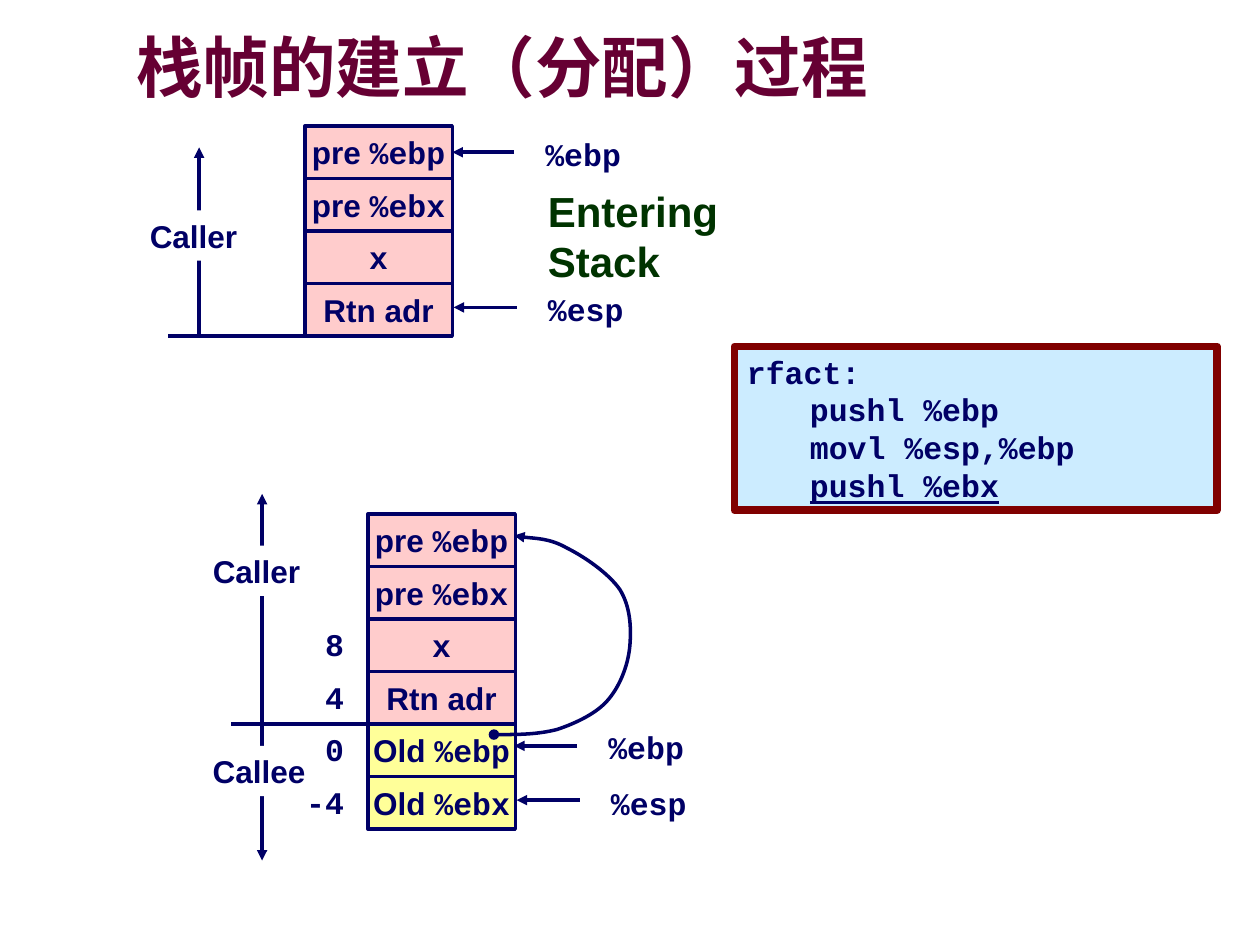
from lxml.etree import SubElement
from pptx import Presentation
from pptx.dml.color import RGBColor
from pptx.enum.shapes import MSO_CONNECTOR, MSO_SHAPE
from pptx.enum.text import MSO_ANCHOR, PP_ALIGN
from pptx.oxml import parse_xml
from pptx.oxml.ns import nsdecls, qn
from pptx.util import Inches, Pt

NAVY = RGBColor(0x00, 0x00, 0x66)
GREEN = RGBColor(0x00, 0x33, 0x00)
PLUM = RGBColor(0x66, 0x00, 0x33)
MAROON = RGBColor(0x80, 0x00, 0x00)
PINK = RGBColor(0xFF, 0xCC, 0xCC)
YELLOW = RGBColor(0xFF, 0xFF, 0x99)
SKY = RGBColor(0xCC, 0xEC, 0xFF)
WHITE = RGBColor(0xFF, 0xFF, 0xFF)
SANS, MONO = "Arial", "Courier New"

# Content: each cell is a list of (text, font) runs
TITLE = "栈帧的建立（分配）过程"
CALLER_CELLS = [
    [("pre ", SANS), ("%ebp", MONO)],
    [("pre ", SANS), ("%ebx", MONO)],
    [("x", MONO)],
    [("Rtn adr", SANS)],
]
CALLEE_CELLS = [
    [("Old ", SANS), ("%ebp", MONO)],
    [("Old ", SANS), ("%ebx", MONO)],
]
OFFSETS = ["8", "4", "0", "-4"]  # beside rows 2 to 5 of the lower stack
CODE = [("rfact:", 0, False), ("pushl %ebp", 0.5, False),
        ("movl %esp,%ebp", 0.5, False), ("pushl %ebx", 0.5, True)]

# Geometry in inches
CELL_W, CELL_H = 1.17, 5 / 12
BEFORE_X, BEFORE_Y = 2.42, 1
AFTER_X, AFTER_Y = 2.92, 4.08
# (label, label left, label top, arrow right, arrow left, arrow y)
POINTERS = [
    ("%esp", 4.25, 2.25, 4.1, 3.6, 2.44),
    ("%ebp", 4.73, 5.73, 4.58, 4.08, 5.92),
    ("%esp", 4.75, 6.17, 4.6, 4.1, 6.35),
]
# Start point, then two controls and an end for each Bézier segment
LINK = [(3.92, 5.83),
        (4.09, 5.83), (4.26, 5.83), (4.42, 5.79),
        (4.57, 5.74), (4.74, 5.66), (4.83, 5.55),
        (4.93, 5.43), (4.99, 5.26), (5, 5.11),
        (5.01, 4.97), (5, 4.81), (4.92, 4.68),
        (4.83, 4.55), (4.64, 4.42), (4.5, 4.35),
        (4.36, 4.27), (4.15, 4.27), (4.08, 4.25)]

prs = Presentation()
prs.slide_width, prs.slide_height = Inches(10), Inches(7.5)
s = prs.slides.add_slide(prs.slide_layouts[5])


def add_run(p, text, font=SANS, size=18, color=NAVY):
    r = p.add_run()
    r.text = text
    r.font.size, r.font.bold = Pt(size), True
    r.font.color.rgb = color
    r.font.name = font
    return r


def add_box(x, y, w, h, fill, line=None, weight=2):
    sp = s.shapes.add_shape(MSO_SHAPE.RECTANGLE, Inches(x), Inches(y), Inches(w), Inches(h))
    sp.shadow.inherit = False
    sp.fill.solid()
    sp.fill.fore_color.rgb = fill
    if line is None:
        sp.line.fill.background()
    else:
        sp.line.color.rgb, sp.line.width = line, Pt(weight)
    sp.text_frame.word_wrap = False
    sp.text_frame.vertical_anchor = MSO_ANCHOR.TOP
    sp.text_frame.paragraphs[0].alignment = PP_ALIGN.LEFT
    return sp


def add_label(text, x, y, w=0.8, h=0.4, font=MONO, size=18, color=NAVY):
    tf = s.shapes.add_textbox(Inches(x), Inches(y), Inches(w), Inches(h)).text_frame
    tf.word_wrap = False
    add_run(tf.paragraphs[0], text, font, size, color)
    return tf


def add_side_label(text, x, y, w):
    sp = add_box(x, y, w, 0.4, WHITE)
    add_run(sp.text_frame.paragraphs[0], text)


def add_ends(line, head=None, tail=None):
    ln = line.get_or_add_ln()
    for tag, kind in (("a:headEnd", head), ("a:tailEnd", tail)):
        if kind:
            SubElement(ln, qn(tag), type=kind)


def add_line(x1, y1, x2, y2, arrow=False):
    c = s.shapes.add_connector(MSO_CONNECTOR.STRAIGHT, Inches(x1), Inches(y1),
                               Inches(x2), Inches(y2))
    c.line.color.rgb, c.line.width = NAVY, Pt(2)
    add_ends(c, tail="triangle" if arrow else None)
    SubElement(c._element.spPr, qn("a:effectLst"))
    return c


def add_stack(x, y, cells, fill):
    boxes = []
    for i, runs in enumerate(cells):
        sp = add_box(x, y + i * CELL_H, CELL_W, CELL_H, fill, NAVY)
        tf = sp.text_frame
        tf.vertical_anchor = MSO_ANCHOR.MIDDLE
        tf.paragraphs[0].alignment = PP_ALIGN.CENTER
        for text, font in runs:
            add_run(tf.paragraphs[0], text, font)
        boxes.append(sp)
    return boxes


# Title with a text shadow
title = s.shapes.title
title.left, title.top, title.width, title.height = map(Inches, (1.08, 0.25, 6.11, 0.63))
tf = title.text_frame
tf.margin_left = tf.margin_top = tf.margin_right = tf.margin_bottom = 0
tf.vertical_anchor = MSO_ANCHOR.MIDDLE
p = tf.paragraphs[0]
p.alignment, p.line_spacing = PP_ALIGN.LEFT, 0.87
r = add_run(p, TITLE, SANS, 38, PLUM)
r._r.rPr.find(qn("a:solidFill")).addnext(parse_xml(
    f'<a:effectLst {nsdecls("a")}><a:outerShdw dist="38100" dir="2700000">'
    '<a:srgbClr val="969696"/></a:outerShdw></a:effectLst>'))
add_label("Entering Stack", 4.25, 1.42, 2.53, 0.5, SANS, 24, GREEN)

# Side axes, frame borders and side labels
for x, y in ((BEFORE_X, BEFORE_Y), (AFTER_X, AFTER_Y)):
    base = y + len(CALLER_CELLS) * CELL_H
    add_line(x, base, x - 1.09, base)
add_line(1.58, 2.67, 1.58, 1.17, arrow=True)
add_line(2.08, 5.42, 2.08, 3.92, arrow=True)
add_line(2.08, 5.33, 2.08, 6.83, arrow=True)
add_side_label("Caller", 1.09, 1.67, 0.89)
add_side_label("Caller", 1.59, 4.33, 0.89)
add_side_label("Callee", 1.59, 5.92, 0.93)

# Stacks before and after the frame is set up
before = add_stack(BEFORE_X, BEFORE_Y, CALLER_CELLS, PINK)
add_stack(AFTER_X, AFTER_Y, CALLER_CELLS, PINK)
add_stack(AFTER_X, AFTER_Y + len(CALLER_CELLS) * CELL_H, CALLEE_CELLS, YELLOW)
for row, text in enumerate(OFFSETS, start=2):
    tf = add_label(text, 2.33, AFTER_Y + row * CELL_H, 0.65)
    tf.word_wrap = True
    tf.margin_left, tf.margin_right = 0, Inches(0.25)
    tf.paragraphs[0].alignment = PP_ALIGN.RIGHT

# Register pointers
add_label("%ebp", 4.23, 1.02)
mid = BEFORE_Y + CELL_H / 2
add_line(4.08, mid, BEFORE_X + CELL_W, mid, arrow=True).end_connect(before[0], 3)
for text, x, y, right, left, arrow_y in POINTERS:
    add_label(text, x, y)
    add_line(right, arrow_y, left, arrow_y, arrow=True)

# Curved link from the saved %ebp to the caller's frame
points = [(Inches(x), Inches(y)) for x, y in LINK]
builder = s.shapes.build_freeform(*points[0])
builder.add_line_segments(points[1:], close=False)
link = builder.convert_to_shape()
link.shadow.inherit = False
link.fill.background()
link.line.color.rgb, link.line.width = NAVY, Pt(2)
add_ends(link, "oval", "triangle")
segments = list(link._element.iter(qn("a:lnTo")))
for i in range(0, len(segments), 3):
    path = segments[i].getparent()
    curve = SubElement(path, qn("a:cubicBezTo"))
    for segment in segments[i:i + 3]:
        curve.append(segment[0])
        path.remove(segment)

# Code listing
tf = add_box(5.83, 2.75, 3.83, 1.3, SKY, MAROON, 4.5).text_frame
tf.word_wrap = True
for i, (text, indent, underline) in enumerate(CODE):
    p = tf.add_paragraph() if i else tf.paragraphs[0]
    p.alignment = PP_ALIGN.LEFT
    p._p.get_or_add_pPr().set("marL", str(Inches(indent)))
    r = add_run(p, text, MONO)
    if underline:
        r.font.underline = True

prs.save("out.pptx")
